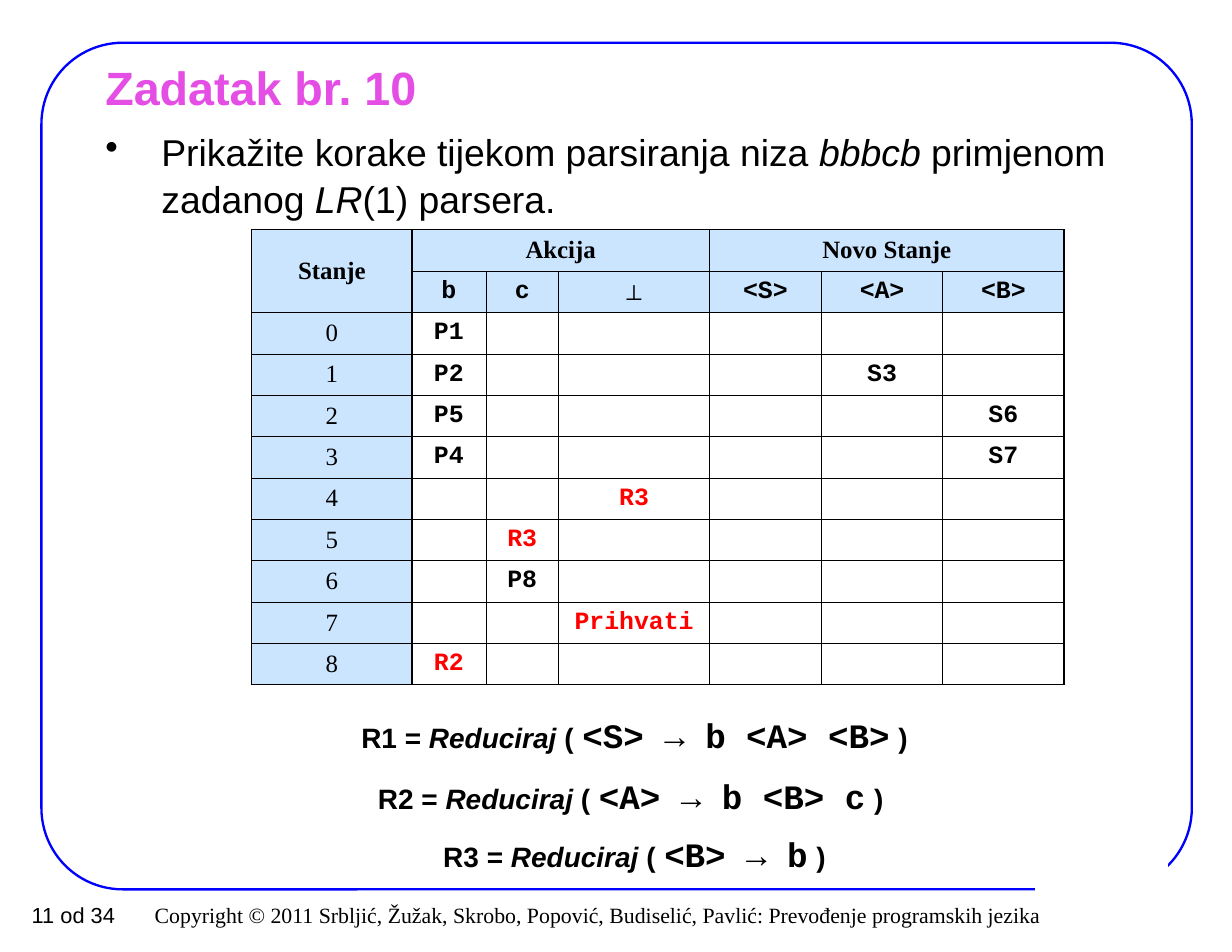
from lxml import etree
from pptx import Presentation
from pptx.dml.color import RGBColor
from pptx.enum.shapes import MSO_SHAPE
from pptx.enum.text import MSO_ANCHOR, PP_ALIGN
from pptx.oxml.ns import qn
from pptx.util import Cm, Pt

ROUND, RECT = MSO_SHAPE.ROUNDED_RECTANGLE, MSO_SHAPE.RECTANGLE
LEFT, MID, RIGHT = PP_ALIGN.LEFT, PP_ALIGN.CENTER, PP_ALIGN.RIGHT
TOP, CENTRE = MSO_ANCHOR.TOP, MSO_ANCHOR.MIDDLE

SANS, SERIF, MONO = "Arial", "Times New Roman", "Courier New"
BLACK, RED, SKY = "000000", "FF0000", "99CCFF"

HEADS = [["Stanje", "Akcija", "", "", "Novo Stanje", "", ""],
         ["", "b", "c", "⊥", "<S>", "<A>", "<B>"]]
MOVES = [{1: "P1"}, {1: "P2", 5: "S3"}, {1: "P5", 6: "S6"},
         {1: "P4", 6: "S7"}, {3: "R3"}, {2: "R3"}, {2: "P8"},
         {3: "Prihvati"}, {1: "R2"}]
WIDTHS = [3.63, 1.68, 1.65, 3.42, 2.54, 2.75, 2.75]
MERGES = [((0, 0), (1, 0)), ((0, 1), (0, 3)), ((0, 4), (0, 6))]
HEAVY_ROWS, HEAVY_COLS = {0, 2, 11}, {0, 1, 4, 7}
RULES = [("R1", "<S> → b <A> <B>", ")"),
         ("R2", "<A> → b <B> c", ") "),
         ("R3", "<B> → b", ")")]


def paint(code):
    return RGBColor.from_string(code)


def style(font, name=None, size=None, color=None, bold=None, italic=None):
    if name:
        font.name = name
    if size:
        font.size = Pt(size)
    if color:
        font.color.rgb = paint(color)
    if bold is not None:
        font.bold = bold
    if italic is not None:
        font.italic = italic


class Deck:
    """Holds the style and the current slide."""

    def __init__(self):
        self.prs = Presentation()
        self.prs.slide_width, self.prs.slide_height = Cm(27.94), Cm(21.59)
        self.slide = self.prs.slides.add_slide(self.prs.slide_layouts[6])

    def shape(self, kind, box, line, width, fill=None):
        item = self.slide.shapes.add_shape(kind, *map(Cm, box))
        item.shadow.inherit = False
        item.line.color.rgb = paint(line)
        item.line.width = Pt(width)
        if fill:
            item.fill.solid()
            item.fill.fore_color.rgb = paint(fill)
        else:
            item.fill.background()
        return item

    def text(self, box, paras, look, align=LEFT, anchor=TOP, pad=(0.25, 0.13),
             gaps=()):
        """Add a text box; each paragraph is a list of (text, changes) runs."""
        frame = self.slide.shapes.add_textbox(*map(Cm, box)).text_frame
        frame.word_wrap = True
        frame.vertical_anchor = anchor
        frame.margin_left = frame.margin_right = Cm(pad[0])
        frame.margin_top = frame.margin_bottom = Cm(pad[1])
        for i, runs in enumerate(paras):
            para = frame.add_paragraph() if i else frame.paragraphs[0]
            para.alignment = align
            if i and gaps:
                para.space_before = Pt(gaps[i - 1])
            style(para.font, **look)
            for words, change in runs:
                run = para.add_run()
                run.text = words
                style(run.font, **change)
        return frame

    def bullet(self, para, indent):
        props = para._p.get_or_add_pPr()
        props.set("marL", str(Cm(indent)))
        props.set("indent", str(-Cm(indent)))
        mark = etree.Element(qn("a:buChar"), char="•")
        props.insert_element_before(mark, "a:tabLst", "a:defRPr", "a:extLst")

    def edge(self, cell, row, col):
        """Draw the four borders, heavier around each group of cells."""
        props = cell._tc.get_or_add_tcPr()
        down = row + (cell.span_height if cell.is_merge_origin else 1)
        across = col + (cell.span_width if cell.is_merge_origin else 1)
        for tag, heavy in (("lnL", col in HEAVY_COLS),
                           ("lnR", across in HEAVY_COLS),
                           ("lnT", row in HEAVY_ROWS),
                           ("lnB", down in HEAVY_ROWS)):
            line = etree.SubElement(props, qn("a:" + tag),
                                    w=str(Pt(0.96 if heavy else 0.45)))
            fill = etree.SubElement(line, qn("a:solidFill"))
            etree.SubElement(fill, qn("a:srgbClr"), val=BLACK)

    def cell(self, cell, row, col, words):
        self.edge(cell, row, col)
        if row < 2 or col == 0:
            cell.fill.solid()
            cell.fill.fore_color.rgb = paint(SKY)
            tint = cell._tc.tcPr.find(".//" + qn("a:srgbClr") + f"[@val='{SKY}']")
            etree.SubElement(tint, qn("a:alpha"), val="50000")
        else:
            cell.fill.background()
        cell.vertical_anchor = CENTRE
        cell.margin_left = cell.margin_right = Cm(0.25)
        cell.margin_top = cell.margin_bottom = Cm(0.13 if words else 0)
        para = cell.text_frame.paragraphs[0]
        para.alignment = MID
        if words:
            para.add_run().text = words
        name = SERIF if row == 0 or col == 0 else SANS if words == "⊥" else MONO
        red = row > 1 and words in ("R2", "R3", "Prihvati")
        style(para.font, name, 16, RED if red else BLACK, row < 2 or col > 0)

    def table(self, left, top, high, rows):
        shape = self.slide.shapes.add_table(
            len(rows), len(WIDTHS), Cm(left), Cm(top),
            Cm(sum(WIDTHS)), Cm(high * len(rows)))
        grid = shape.table
        grid.first_row = grid.horz_banding = False
        for col, wide in zip(grid.columns, WIDTHS):
            col.width = Cm(wide)
        for first, last in MERGES:
            grid.cell(*first).merge(grid.cell(*last))
        for r, row in enumerate(rows):
            grid.rows[r].height = Cm(high)
            for c, words in enumerate(row):
                self.cell(grid.cell(r, c), r, c, words)


def main():
    deck = Deck()
    frame = deck.shape(ROUND, (0.94, 0.97, 26.09, 19.2), "0000FF", 1.5)
    frame.adjustments[0] = 0.096
    deck.shape(RECT, (23.5, 19.48, 2.97, 1.27), "FFFFFF", 1, "FFFFFF")

    deck.text((0.43, 20.32, 23.44, 0.86),
              [[("Copyright © 2011 Srbljić, Žužak, Skrobo, Popović, Budiselić, "
                 "Pavlić: Prevođenje programskih jezika", {})]],
              dict(name=SERIF, size=14, color=BLACK), RIGHT, CENTRE)
    deck.text((0, 20.32, 3.33, 0.86), [[("11 od 34", {})]],
              dict(name=SANS, size=14, color=BLACK), MID)
    deck.text((2.11, 1.27, 23.75, 1.4), [[("Zadatak br. 10", {})]],
              dict(name=SANS, size=30, color="E44EE4", bold=True),
              anchor=CENTRE, pad=(0.28, 0.15))

    slant = dict(italic=True)
    task = deck.text((2.11, 2.74, 23.72, 2.4),
                     [[("Prikažite korake tijekom parsiranja niza ", {}),
                       ("bbbcb", slant), (" primjenom zadanog ", {}),
                       ("LR", slant), ("(1) parsera.", {})]],
                     dict(name=SANS, size=24, color=BLACK), pad=(0.28, 0.15))
    task.paragraphs[0].line_spacing = 1.05
    deck.bullet(task.paragraphs[0], 1.27)

    states = [[str(n)] + [move.get(c, "") for c in range(1, len(WIDTHS))]
              for n, move in enumerate(MOVES)]
    deck.table(5.71, 5.21, 0.93, HEADS + states)

    space = (" ", dict(size=20))
    deck.text((2.54, 16.08, 23.7, 3.89),
              [[(f"{name} = ", {}), ("Reduciraj", slant), (" (", {}), space,
                (rule, dict(name=MONO, size=22)), space, (end, {})]
               for name, rule, end in RULES],
              dict(name=SANS, size=18, color=BLACK, bold=True), MID,
              gaps=(12.5, 11.2))
    deck.prs.save("out.pptx")


if __name__ == "__main__":
    main()
